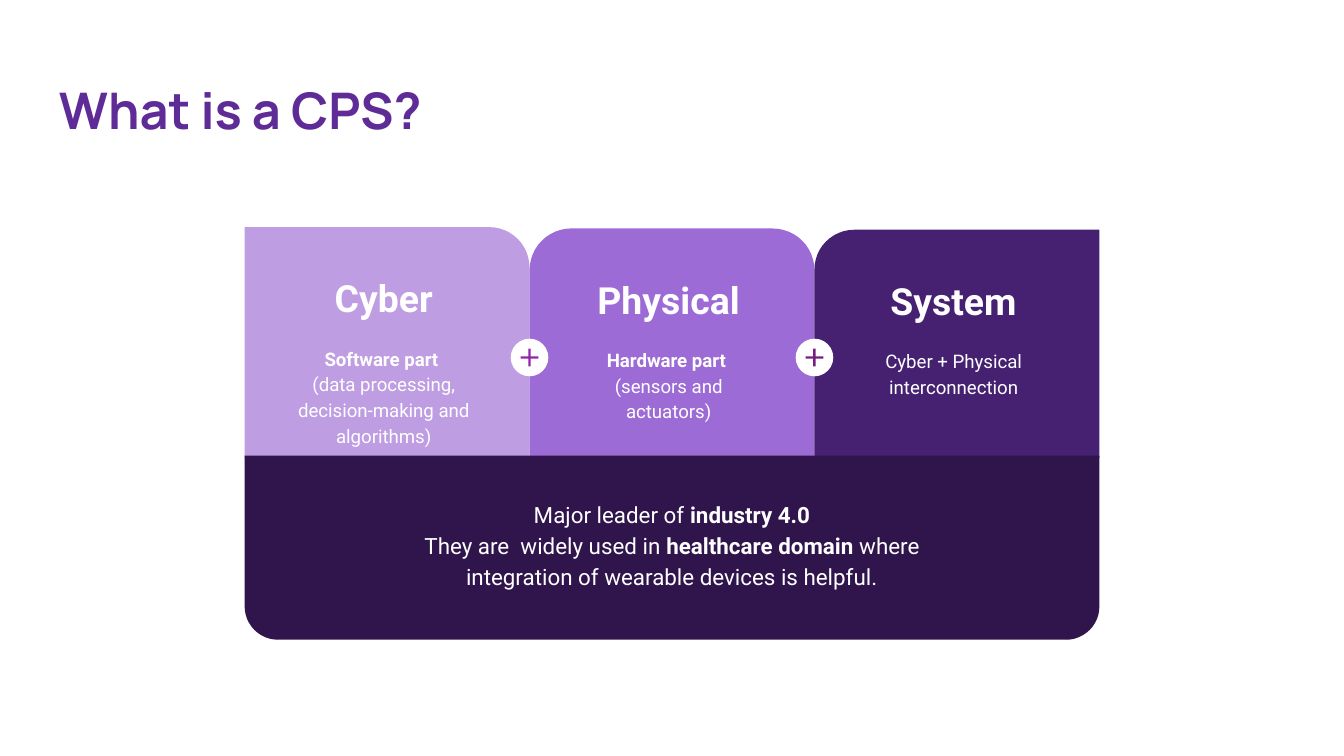
from dataclasses import dataclass

from pptx import Presentation
from pptx import util as u
from pptx.dml.color import RGBColor
from pptx.enum import shapes, text
from pptx.oxml import ns

WHITE = RGBColor(0xFF, 0xFF, 0xFF)
TITLE_PURPLE = RGBColor(0x5E, 0x2B, 0x97)
LILAC = RGBColor(0xBE, 0x9D, 0xE3)
VIOLET = RGBColor(0x9D, 0x6B, 0xD5)
INDIGO = RGBColor(0x46, 0x20, 0x71)
MIDNIGHT = RGBColor(0x2F, 0x15, 0x4C)
MAGENTA = RGBColor(0x92, 0x25, 0xA5)
PLUM = RGBColor(0x76, 0x1E, 0x86)

Span = tuple[str, bool]  # text, bold
Lines = list[list[Span]]
Preset = shapes.MSO_SHAPE

LEFT, TOP, CARD_WIDTH = 1.82, 1.69, 2.12
TOP_STEP = 0.01
PLUS_CENTRE_Y = 2.66


@dataclass
class Card:
    heading: str
    body: Lines
    fill: RGBColor
    preset: Preset
    corners: tuple[float, ...]
    height: float = 1.72
    mirrored: bool = False


CARDS = [
    Card("Cyber",
         [[("Software part ", True)],
          [("(data processing, decision-making and algorithms)", False)]],
         LILAC, Preset.ROUND_1_RECTANGLE, (0.174,)),
    Card("Physical",
         [[("Hardware part ", True)], [("(sensors and actuators)", False)]],
         VIOLET, Preset.ROUND_2_SAME_RECTANGLE, (0.181, 0)),
    Card("System",
         [[("Cyber + Physical interconnection", False)]],
         INDIGO, Preset.ROUND_1_RECTANGLE, (0.174,), 1.7, True),
]
PLUS_COLOURS = [MAGENTA, PLUM]
SUMMARY: Lines = [
    [("Major leader of ", False), ("industry 4.0", True)],
    [("They are  widely used in", False), (" healthcare domain ", True),
     ("where integration of wearable devices is helpful.", False)],
]


def add_block(page, preset: Preset, left: float, top: float, width: float,
              height: float, fill: RGBColor, corners: tuple[float, ...] = ()):
    """Add a plain filled shape without outline or shadow."""
    block = page.shapes.add_shape(preset, u.Inches(left), u.Inches(top),
                                  u.Inches(width), u.Inches(height))
    block.shadow.inherit = False
    block.fill.solid()
    block.fill.fore_color.rgb = fill
    block.line.fill.background()
    for index, value in enumerate(corners):
        block.adjustments[index] = value
    return block


def write(box, lines: Lines, *, size: float, font: str = "Roboto",
          colour: RGBColor = WHITE, align=text.PP_ALIGN.CENTER,
          spacing: float = 1.0) -> None:
    """Fill a box with paragraphs of plain and bold spans."""
    frame = box.text_frame
    frame.word_wrap = True
    frame.vertical_anchor = text.MSO_ANCHOR.TOP
    frame.margin_left = frame.margin_right = u.Inches(0.1)
    frame.margin_top = frame.margin_bottom = u.Inches(0.1)
    for index, spans in enumerate(lines):
        para = frame.add_paragraph() if index else frame.paragraphs[0]
        para.alignment = align
        para.line_spacing = spacing
        for words, bold in spans:
            span = para.add_run()
            span.text = words
            span.font.name = font
            span.font.size = u.Pt(size)
            span.font.bold = bold
            span.font.color.rgb = colour


def add_card(page, card: Card, index: int) -> None:
    left, top = LEFT + index * CARD_WIDTH, TOP + index * TOP_STEP
    panel = add_block(page, card.preset, left, top, CARD_WIDTH, card.height,
                      card.fill, card.corners)
    if card.mirrored:
        panel.element.spPr.find(ns.qn("a:xfrm")).set("flipH", "1")
    heading = add_block(page, Preset.RECTANGLE, left + 0.24, top + 0.26,
                        1.59, 0.5, card.fill)
    write(heading, [[(card.heading, True)]], size=20)
    body = add_block(page, Preset.RECTANGLE, left + 0.24, top + 0.77,
                     1.59, 0.92, card.fill)
    write(body, card.body, size=10, spacing=1.15)


def add_plus(page, centre_x: float, colour: RGBColor) -> None:
    for preset, size, fill, corners in (
            (Preset.OVAL, 0.28, WHITE, ()),
            (Preset.MATH_PLUS, 0.18, colour, (0.099,))):
        add_block(page, preset, centre_x - size / 2, PLUS_CENTRE_Y - size / 2,
                  size, size, fill, corners)


def main() -> None:
    deck = Presentation()
    # Widescreen, 16 by 9
    deck.slide_width = u.Inches(10)
    deck.slide_height = u.Inches(10 * 9 / 16)
    page = deck.slides.add_slide(deck.slide_layouts[6])

    # Title
    title = page.shapes.add_textbox(u.Inches(0.34), u.Inches(0.49),
                                    u.Inches(9.32), u.Inches(0.68))
    write(title, [[("What is a CPS?", True)]], size=27, font="Manrope",
          colour=TITLE_PURPLE, align=text.PP_ALIGN.LEFT)

    # Three cards joined by plus signs
    for index, card in enumerate(CARDS):
        add_card(page, card, index)
    for index, colour in enumerate(PLUS_COLOURS, start=1):
        add_plus(page, LEFT + index * CARD_WIDTH, colour)

    # Summary panel, rounded at the bottom
    base = add_block(page, Preset.ROUND_2_SAME_RECTANGLE, LEFT, 3.39,
                     len(CARDS) * CARD_WIDTH, 1.37, MIDNIGHT, (0.181, 0))
    base.rotation = 180
    summary = add_block(page, Preset.RECTANGLE, 2.9, 3.6, 4.2, 0.94, MIDNIGHT)
    write(summary, SUMMARY, size=12, spacing=1.15)

    deck.save("out.pptx")


if __name__ == "__main__":
    main()
